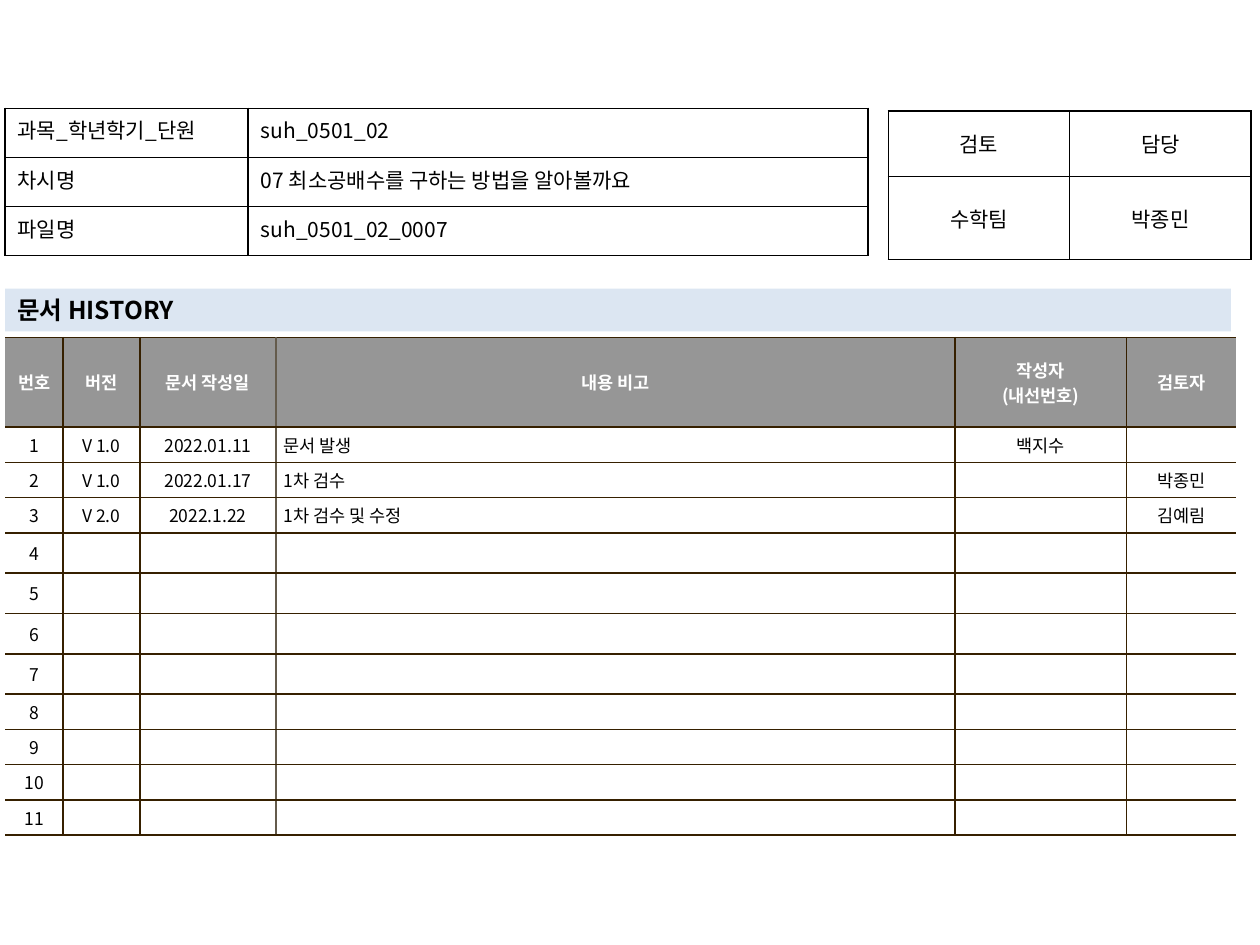
from lxml import etree
from pptx import Presentation
from pptx.dml.color import RGBColor
from pptx.enum.shapes import MSO_SHAPE
from pptx.enum.text import MSO_ANCHOR, PP_ALIGN
from pptx.oxml.ns import qn
from pptx.util import Inches, Pt

LEFT, MID, JUST = PP_ALIGN.LEFT, PP_ALIGN.CENTER, PP_ALIGN.JUSTIFY
TOP, CENTER = MSO_ANCHOR.TOP, MSO_ANCHOR.MIDDLE
RECT = MSO_SHAPE.RECTANGLE
BLACK = RGBColor(0x00, 0x00, 0x00)
WHITE = RGBColor(0xFF, 0xFF, 0xFF)
BROWN = RGBColor(0x36, 0x20, 0x00)
TAUPE = RGBColor(0x64, 0x5B, 0x4C)
GRAY = RGBColor(0x96, 0x96, 0x96)
BLUE = RGBColor(0xDC, 0xE6, 0xF2)
FONT = "Noto Sans CJK KR"
EDGE = 0.04

HEADING = "문서 HISTORY"
FACTS = [
    ("과목_학년학기_단원", "suh_0501_02"),
    ("차시명", "07 최소공배수를 구하는 방법을 알아볼까요"),
    ("파일명", "suh_0501_02_0007"),
]
SIGNS = [("검토", "담당"), ("수학팀", "박종민")]
HEADS = ("번호", "버전", "문서 작성일", "내용 비고", "작성자\n(내선번호)", "검토자")
ENTRIES = [
    ("V 1.0", "2022.01.11", "문서 발생", "백지수", ""),
    ("V 1.0", "2022.01.17", "1차 검수", "", "박종민"),
    ("V 2.0", "2022.1.22", "1차 검수 및 수정", "", "김예림"),
]
COUNT = 11
BLANKS = [("",) * 5] * (COUNT - len(ENTRIES))
HISTORY = [HEADS] + [(str(n), *row) for n, row in enumerate(ENTRIES + BLANKS, 1)]


def write(frame, text, size, color, align, bold=False):
    frame.text = text
    for para in frame.paragraphs:
        para.alignment = align
        font = para.font
        font.size, font.bold, font.name = Pt(size), bold, FONT
        font.color.rgb = color
        base = para._p.pPr.find(qn("a:defRPr"))
        etree.SubElement(base, qn("a:ea"), typeface=FONT)
        if not text:
            etree.SubElement(para._p, qn("a:endParaRPr"), sz=str(size * 100))


def border(cell, lines):
    props = cell._tc.get_or_add_tcPr()
    for side in "LRTB":
        line = etree.SubElement(props, qn("a:ln" + side), w=str(Pt(1)))
        color = lines[side]
        if color is None:
            etree.SubElement(line, qn("a:noFill"))
        else:
            fill = etree.SubElement(line, qn("a:solidFill"))
            etree.SubElement(fill, qn("a:srgbClr"), val=str(color))


def add_grid(slide, data, left, top, cols, rows, style):
    shape = slide.shapes.add_table(
        len(rows), len(cols), Inches(left), Inches(top),
        Inches(sum(cols)), Inches(sum(rows)))
    table = shape.table
    table.first_row = table.horz_banding = False
    for col, width in zip(table.columns, cols):
        col.width = Inches(width)
    for row, height in zip(table.rows, rows):
        row.height = Inches(height)
    for r, values in enumerate(data):
        for c, text in enumerate(values):
            style(table.cell(r, c), r, c, text)


def style_fact(cell, r, c, text):
    border(cell, dict.fromkeys("LRTB", BLACK))
    cell.fill.background()
    cell.vertical_anchor = TOP
    write(cell.text_frame, text, 12, BLACK, LEFT if c else JUST)


def style_sign(cell, r, c, text):
    border(cell, dict.fromkeys("LRTB", BLACK))
    cell.fill.background()
    cell.vertical_anchor = CENTER
    write(cell.text_frame, text, 12, BLACK, MID)


def style_log(cell, r, c, text):
    rules = [None, BROWN, BROWN, TAUPE, BROWN, BROWN, None]
    border(cell, {"L": rules[c], "R": rules[c + 1], "T": BROWN, "B": BROWN})
    cell.fill.solid()
    cell.fill.fore_color.rgb = WHITE if r else GRAY
    cell.vertical_anchor = CENTER
    cell.margin_left = cell.margin_right = Inches(0.06)
    cell.margin_top = cell.margin_bottom = Inches(0.04)
    align = LEFT if r and c == 3 else MID
    write(cell.text_frame, text, 10, BLACK if r else WHITE, align, not r)


def main():
    deck = Presentation()
    deck.slide_width, deck.slide_height = Inches(10), Inches(7.5)
    slide = deck.slides.add_slide(deck.slide_layouts[6])

    add_grid(slide, HISTORY, EDGE, 2.68, [0.46, 0.61, 1.08, 5.39, 1.36, 0.87],
             [0.71] + [0.28] * 3 + [0.32] * 4 + [0.28] * 4, style_log)
    add_grid(slide, SIGNS, 7.05, 0.88, [1.44] * 2, [0.52, 0.66], style_sign)

    bar = slide.shapes.add_shape(
        RECT, Inches(EDGE), Inches(2.29), Inches(9.73), Inches(0.34))
    bar.shadow.inherit = False
    bar.fill.solid()
    bar.fill.fore_color.rgb = BLUE
    bar.line.fill.background()
    bar.text_frame.word_wrap = True
    bar.text_frame.vertical_anchor = CENTER
    write(bar.text_frame, HEADING, 14, BLACK, LEFT, True)

    add_grid(slide, FACTS, EDGE, 0.86, [1.93, 4.92], [0.39] * 3, style_fact)
    deck.save("out.pptx")


if __name__ == "__main__":
    main()
